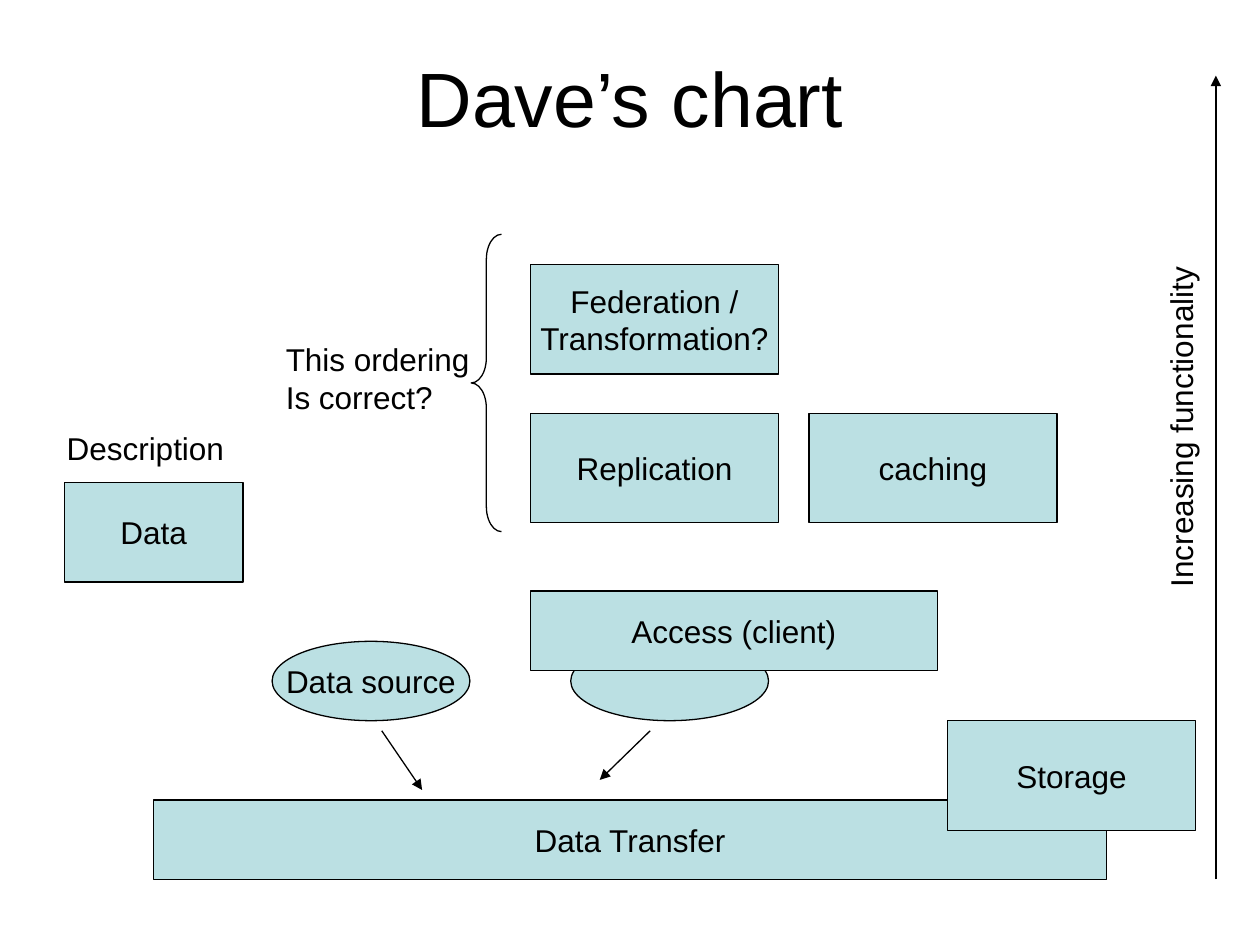
from dataclasses import dataclass

from lxml import etree
from pptx import Presentation
from pptx.dml.color import RGBColor
from pptx.enum.shapes import MSO_CONNECTOR, MSO_SHAPE
from pptx.enum.text import MSO_ANCHOR, PP_ALIGN
from pptx.oxml.ns import qn
from pptx.util import Inches, Pt

RECTANGLE, ELLIPSE = MSO_SHAPE.RECTANGLE, MSO_SHAPE.OVAL
LEFT_BRACE = MSO_SHAPE.LEFT_BRACE
STRAIGHT = MSO_CONNECTOR.STRAIGHT
LEFT, CENTER = PP_ALIGN.LEFT, PP_ALIGN.CENTER
TOP, MIDDLE = MSO_ANCHOR.TOP, MSO_ANCHOR.MIDDLE

COLORS = {"fill": "BBE0E3", "ink": "000000"}
FONT = "Arial"
LINE_WIDTH = Pt(0.75)

COLUMN = 4.21
BOX_WIDTH, BOX_HEIGHT = 1.97, 0.87
BAR_HEIGHT = 0.63
SOURCE_TOP, SOURCE_WIDTH = 5.09, 1.57


@dataclass
class Node:
    text: str
    left: float
    top: float
    width: float = BOX_WIDTH
    height: float = BOX_HEIGHT
    kind: MSO_SHAPE = RECTANGLE


@dataclass
class Label:
    text: str
    left: float
    top: float
    width: float
    height: float = 0.4
    rotation: int = 0
    size: int = 18
    alignment: PP_ALIGN = LEFT
    anchor: MSO_ANCHOR = TOP


@dataclass
class Arrow:
    start: tuple[float, float]
    end: tuple[float, float]


# Listed from back to front: the access bar covers part of the second source.
NODES = [
    Node("Data", 0.51, 3.83, 1.42, 0.79),
    Node("Data Transfer", 1.22, 6.35, 7.56, BAR_HEIGHT),
    Node("Data source", 2.16, SOURCE_TOP, SOURCE_WIDTH, BAR_HEIGHT, ELLIPSE),
    Node("", 4.53, SOURCE_TOP, SOURCE_WIDTH, BAR_HEIGHT, ELLIPSE),
    Node("Storage", 7.52, 5.72),
    Node("Access (client)", COLUMN, 4.69, 3.23, BAR_HEIGHT),
    Node("caching", 6.42, 3.28),
    Node("Replication", COLUMN, 3.28),
    Node("Federation /\nTransformation?", COLUMN, 2.1),
]
LABELS = [
    Label("Dave’s chart", 0.5, 0.3, 9, 0.93, size=44, alignment=CENTER, anchor=MIDDLE),
    Label("Description", 0.43, 3.36, 1.45),
    Label("This ordering\nIs correct?", 2.17, 2.65, 1.66, 0.7),
    Label("Increasing functionality", 8, 3.19, 2.74, rotation=270),
]
ARROWS = [
    Arrow((3.03, 5.8), (3.35, 6.27)),
    Arrow((5.16, 5.8), (4.76, 6.19)),
    Arrow((9.65, 6.98), (9.65, 0.6)),
]


def color(name: str) -> RGBColor:
    return RGBColor.from_string(COLORS[name])


def write_text(shape, text: str, size: int, alignment: PP_ALIGN, anchor: MSO_ANCHOR) -> None:
    frame = shape.text_frame
    frame.word_wrap = False
    frame.vertical_anchor = anchor
    frame.text = text
    for paragraph in frame.paragraphs:
        paragraph.alignment = alignment
        paragraph.font.name = FONT
        paragraph.font.size = Pt(size)
        paragraph.font.color.rgb = color("ink")


def draw_outline(shape) -> None:
    shape.line.color.rgb = color("ink")
    shape.line.width = LINE_WIDTH


def draw_node(slide, node: Node) -> None:
    shape = slide.shapes.add_shape(
        node.kind, Inches(node.left), Inches(node.top), Inches(node.width), Inches(node.height)
    )
    shape.shadow.inherit = False
    shape.fill.solid()
    shape.fill.fore_color.rgb = color("fill")
    draw_outline(shape)
    if node.text:
        write_text(shape, node.text, 18, CENTER, MIDDLE)


def draw_label(slide, label: Label) -> None:
    box = slide.shapes.add_textbox(
        Inches(label.left), Inches(label.top), Inches(label.width), Inches(label.height)
    )
    box.rotation = label.rotation
    write_text(box, label.text, label.size, label.alignment, label.anchor)


def draw_arrow(slide, arrow: Arrow) -> None:
    points = [Inches(value) for value in (*arrow.start, *arrow.end)]
    connector = slide.shapes.add_connector(STRAIGHT, *points)
    draw_outline(connector)
    etree.SubElement(connector.line._get_or_add_ln(), qn("a:tailEnd"), type="triangle")
    etree.SubElement(connector._element.spPr, qn("a:effectLst"))


def draw_brace(slide) -> None:
    brace = slide.shapes.add_shape(
        LEFT_BRACE, Inches(3.74), Inches(1.86), Inches(0.24), Inches(2.36)
    )
    brace.adjustments[0] = 0.83
    brace.shadow.inherit = False
    brace.fill.background()
    draw_outline(brace)


def main() -> None:
    presentation = Presentation()
    presentation.slide_width, presentation.slide_height = Inches(10), Inches(7.5)
    slide = presentation.slides.add_slide(presentation.slide_layouts[6])
    for node in NODES:
        draw_node(slide, node)
    for label in LABELS:
        draw_label(slide, label)
    for arrow in ARROWS:
        draw_arrow(slide, arrow)
    draw_brace(slide)
    presentation.save("out.pptx")


if __name__ == "__main__":
    main()
